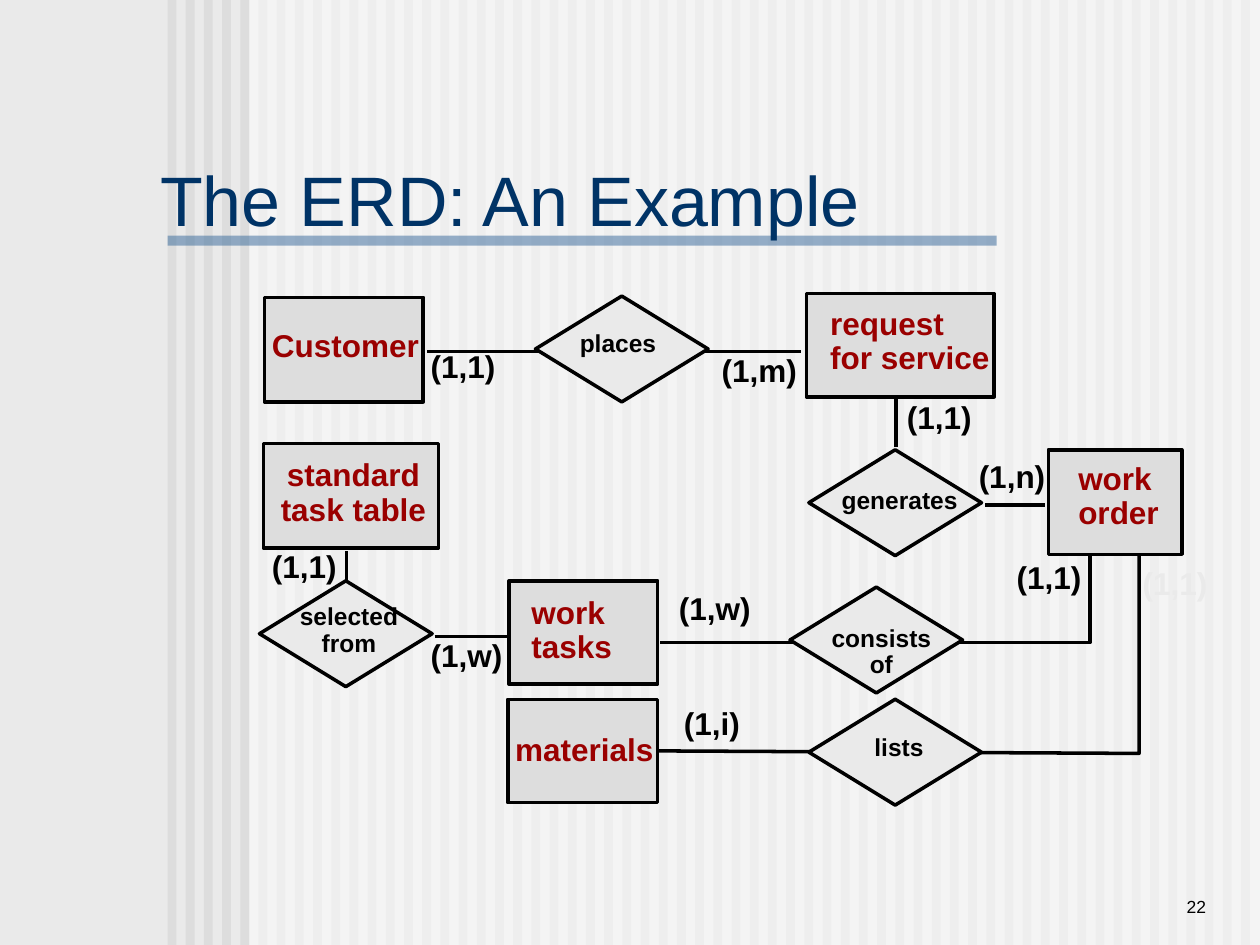
from pptx import Presentation
from pptx.dml.color import RGBColor
from pptx.enum.shapes import MSO_CONNECTOR, MSO_SHAPE
from pptx.enum.text import MSO_ANCHOR, MSO_AUTO_SIZE, PP_ALIGN
from pptx.oxml.ns import qn
from pptx.util import Inches, Pt
from lxml.etree import SubElement

TITLE = "The ERD: An Example"
PAGE_NUMBER = "22"
BLACK, RED, PALE, GREY = "000000", "9A0000", "EAEAEA", "DDDDDD"
LEFT, CENTER = PP_ALIGN.LEFT, PP_ALIGN.CENTER

STRIPE_COUNT = 60
FIRST_STRIPE, LAST_STRIPE = 1.33, 9.85

ROUTES = [
    [(8.65, 4.41), (8.65, 5.1), (5.24, 5.1)],
    [(5.22, 5.96), (9.04, 5.98), (9.04, 4.41)],
]
LINKS = [
    (3.39, 2.79, 6.36, 2.79),
    (7.11, 3.55, 7.11, 3.16),
    (7.82, 4.01, 8.29, 4.01),
    (2.75, 4.62, 2.75, 4.37),
    (3.45, 5.05, 4.03, 5.05),
]
ENTITIES = [
    ((2.1, 2.36, 1.26, 0.83), "Customer", (2.06, 2.57, 1.4, 0.37), LEFT),
    ((6.4, 2.33, 1.49, 0.82), "request\nfor service", (6.49, 2.4, 1.5, 0.64), LEFT),
    ((8.32, 3.57, 1.06, 0.83), "work\norder", (8.46, 3.63, 0.87, 0.64), LEFT),
    ((4.04, 4.61, 1.18, 0.82), "work\ntasks", (4.12, 4.69, 0.87, 0.64), LEFT),
    ((4.03, 5.55, 1.19, 0.82), "materials", (3.99, 5.78, 1.33, 0.37), LEFT),
    ((2.09, 3.52, 1.39, 0.83), "standard\ntask table", (2.13, 3.6, 1.35, 0.64), CENTER),
]
RELATIONS = [
    ((4.25, 2.35), "places", (4.5, 2.58, 0.81, 0.31)),
    ((6.42, 3.57), "generates", (6.58, 3.83, 1.12, 0.31)),
    ((6.27, 4.66), "consists\nof", (6.5, 4.92, 0.99, 0.52)),
    ((6.42, 5.55), "lists", (6.84, 5.79, 0.59, 0.31)),
    ((2.06, 4.61), "selected\nfrom", (2.28, 4.75, 0.98, 0.52)),
]
DIAMOND_SIZE = (1.37, 0.84)
CARDINALITIES = [
    ("(1,1)", 3.32, 2.74, 0.74, BLACK),
    ("(1,m)", 5.63, 2.77, 0.83, BLACK),
    ("(1,n)", 7.67, 3.61, 0.76, BLACK),
    ("(1,1)", 7.1, 3.14, 0.74, BLACK),
    ("(1,1)", 7.97, 4.41, 0.74, BLACK),
    ("(1,1)", 8.97, 4.46, 0.74, PALE),
    ("(1,w)", 5.29, 4.66, 0.8, BLACK),
    ("(1,i)", 5.33, 5.57, 0.67, BLACK),
    ("(1,w)", 3.32, 5.03, 0.8, BLACK),
    ("(1,1)", 2.06, 4.33, 0.74, BLACK),
]


def color(value):
    return RGBColor.from_string(value)


def inches(values):
    return [Inches(value) for value in values]


def set_font(paragraph, size, value, bold=False):
    paragraph.font.name = "Arial"
    paragraph.font.size = Pt(size)
    paragraph.font.bold = bold
    paragraph.font.color.rgb = color(value)


def outline(shape):
    shape.line.color.rgb = color(BLACK)
    shape.line.width = Pt(2)


def add_block(page, kind, area, fill, outlined=False, alpha=None):
    shape = page.shapes.add_shape(kind, *inches(area))
    shape.shadow.inherit = False
    shape.fill.solid()
    shape.fill.fore_color.rgb = color(fill)
    if alpha:
        tint = shape.element.spPr.find(qn("a:solidFill"))[0]
        SubElement(tint, qn("a:alpha"), val=str(alpha * 1000))
    if outlined:
        outline(shape)
    else:
        shape.line.fill.background()


def add_label(page, text, area, size, value, align=LEFT):
    box = page.shapes.add_textbox(*inches(area))
    frame = box.text_frame
    frame.word_wrap = False
    frame.auto_size = MSO_AUTO_SIZE.SHAPE_TO_FIT_TEXT
    frame.text = text
    for paragraph in frame.paragraphs:
        paragraph.alignment = align
        paragraph.line_spacing = 0.9
        set_font(paragraph, size, value, bold=True)


def add_route(page, points):
    start, *others = [inches(point) for point in points]
    builder = page.shapes.build_freeform(*start, scale=1.0)
    builder.add_line_segments(others, close=False)
    route = builder.convert_to_shape()
    route.shadow.inherit = False
    route.fill.background()
    outline(route)


def add_link(page, ends):
    link = page.shapes.add_connector(MSO_CONNECTOR.STRAIGHT, *inches(ends))
    outline(link)
    SubElement(link.element.spPr, qn("a:effectLst"))


deck = Presentation()
deck.slide_width, deck.slide_height = Inches(10), Inches(7.5)
page = deck.slides.add_slide(deck.slide_layouts[5])
page.background.fill.solid()
page.background.fill.fore_color.rgb = color(PALE)

stripe_step = (LAST_STRIPE - FIRST_STRIPE) / (STRIPE_COUNT - 1)
for index in range(STRIPE_COUNT):
    left = FIRST_STRIPE + index * stripe_step
    add_block(page, MSO_SHAPE.RECTANGLE, (left, 0, 0.07, 7.5), GREY)
add_block(page, MSO_SHAPE.RECTANGLE, (1.98, 0, 8.02, 7.5), "FFFFFF", alpha=50)
add_block(page, MSO_SHAPE.RECTANGLE, (1.33, 1.87, 6.58, 0.08), "336699", alpha=50)

title = page.shapes.title
title.left, title.top, title.width, title.height = inches((1.17, 1.17, 7.83, 0.81))
title.text_frame.text = TITLE
title.text_frame.vertical_anchor = MSO_ANCHOR.MIDDLE
title.text_frame.auto_size = MSO_AUTO_SIZE.NONE
title.text_frame.paragraphs[0].alignment = LEFT
set_font(title.text_frame.paragraphs[0], 40, "003366")
title.element.getparent().append(title.element)

for points in ROUTES:
    add_route(page, points)
for ends in LINKS:
    add_link(page, ends)
for area, text, text_area, align in ENTITIES:
    add_block(page, MSO_SHAPE.RECTANGLE, area, GREY, outlined=True)
    add_label(page, text, text_area, 18, RED, align)
for corner, text, text_area in RELATIONS:
    add_block(page, MSO_SHAPE.DIAMOND, corner + DIAMOND_SIZE, PALE, outlined=True)
    add_label(page, text, text_area, 14, BLACK, CENTER)
for text, left, top, width, value in CARDINALITIES:
    add_label(page, text, (left, top, width, 0.37), 18, value)

number = page.shapes.add_textbox(*inches((8.25, 6.83, 1.42, 0.5)))
number.text_frame.word_wrap = True
number.text_frame.vertical_anchor = MSO_ANCHOR.BOTTOM
number.text_frame.text = PAGE_NUMBER
number.text_frame.paragraphs[0].alignment = PP_ALIGN.RIGHT
set_font(number.text_frame.paragraphs[0], 10, BLACK)

deck.save("out.pptx")
